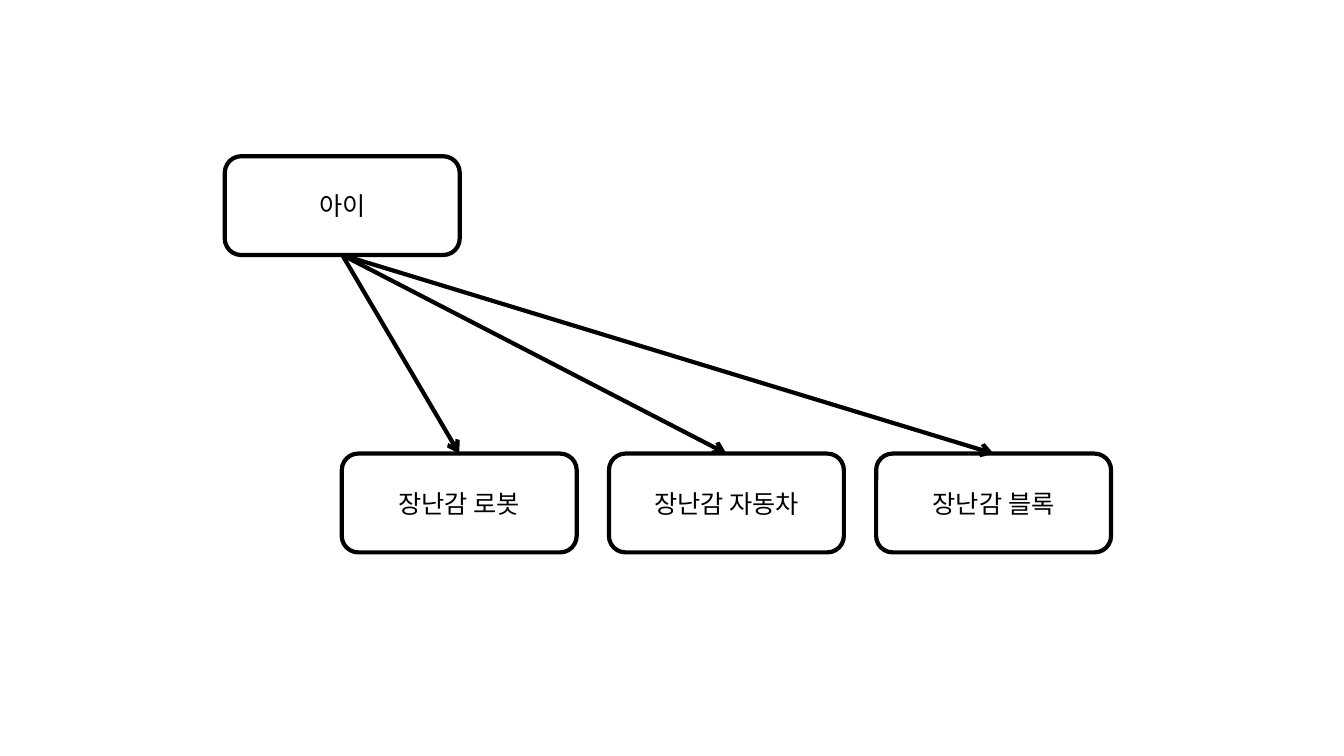
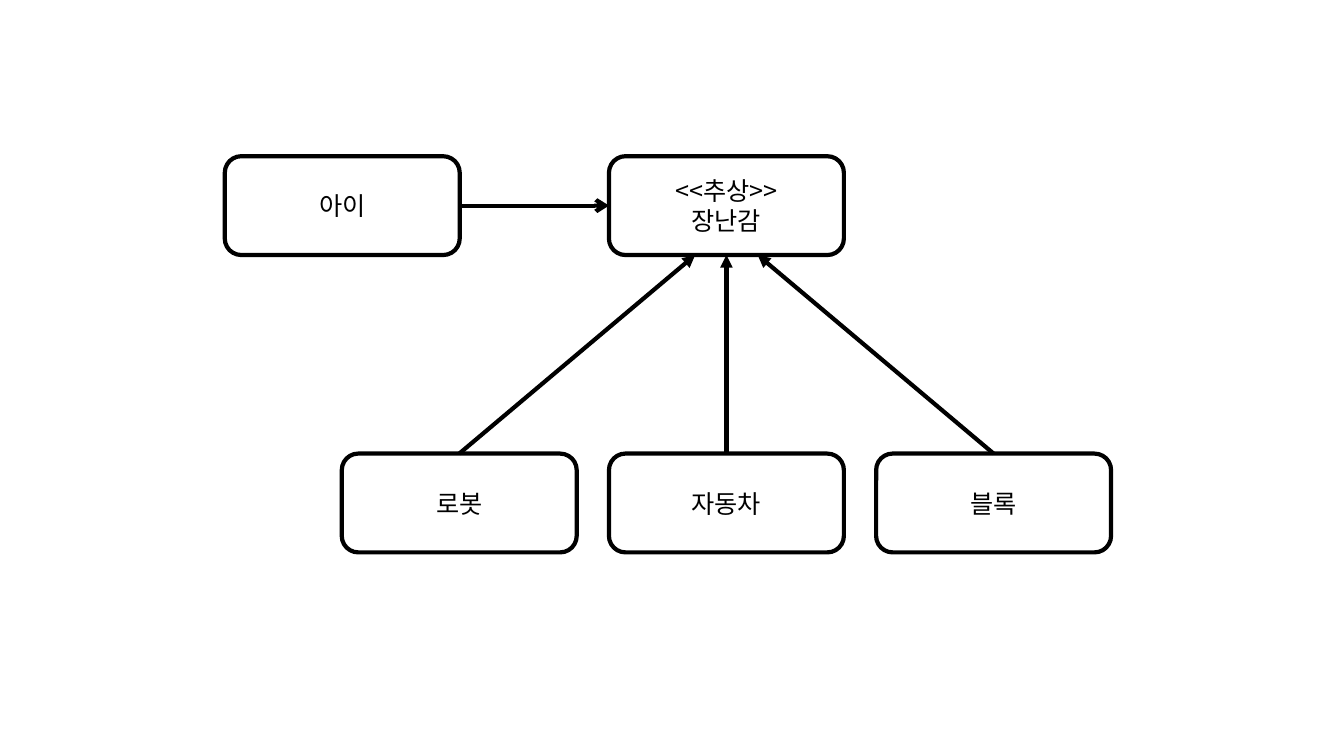
"""Two class diagrams: a child using concrete toys, then an abstract toy."""
from lxml.etree import SubElement
from pptx import Presentation
from pptx.dml.color import RGBColor
from pptx.enum.shapes import MSO_CONNECTOR, MSO_SHAPE
from pptx.enum.text import MSO_ANCHOR, PP_ALIGN
from pptx.oxml.ns import qn
from pptx.util import Inches, Pt

COLORS = {"fill": "FFFFFF", "ink": "000000"}
FONT = "Noto Sans CJK KR"
BOX_W, BOX_H = 2.33, 0.98
CHILD_X, TOY_X, TOY_STEP = 2.23, 3.39, 2.65
TOP_Y, TOY_Y = 1.55, 4.5
TOP, LEFT, BOTTOM, RIGHT = range(4)
INK = RGBColor.from_string(COLORS["ink"])


def add_box(s, text, x, y):
    sp = s.shapes.add_shape(MSO_SHAPE.ROUNDED_RECTANGLE, Inches(x), Inches(y),
                            Inches(BOX_W), Inches(BOX_H))
    sp.shadow.inherit = False
    sp.fill.solid()
    sp.fill.fore_color.rgb = RGBColor.from_string(COLORS["fill"])
    sp.line.color.rgb = INK
    sp.line.width = Pt(3)
    tf = sp.text_frame
    tf.text = text
    tf.vertical_anchor = MSO_ANCHOR.MIDDLE
    for p in tf.paragraphs:
        p.alignment = PP_ALIGN.CENTER
        for r in p.runs:
            r.font.size = Pt(18)
            r.font.color.rgb = INK
            r.font.name = FONT
            SubElement(r.font._element, qn("a:ea"), typeface=FONT)
    return sp


def add_arrow(s, start, start_site, end, end_site, head, shift=0):
    cxn = s.shapes.add_connector(MSO_CONNECTOR.STRAIGHT, 0, 0, 0, 0)
    cxn.begin_connect(start, start_site)
    if shift:
        cxn.end_x = end.left + end.width // 2 + Inches(shift)
        cxn.end_y = end.top + end.height
    else:
        cxn.end_connect(end, end_site)
    cxn.line.color.rgb = INK
    cxn.line.width = Pt(3)
    SubElement(cxn.line._get_or_add_ln(), qn("a:tailEnd"), type=head)
    SubElement(cxn._element.spPr, qn("a:effectLst"))


prs = Presentation()
prs.slide_width = Inches(13.33)
prs.slide_height = Inches(7.5)
blank = prs.slide_layouts[6]

s = prs.slides.add_slide(blank)
child = add_box(s, "아이", CHILD_X, TOP_Y)
toys = [add_box(s, name, TOY_X + i * TOY_STEP, TOY_Y)
        for i, name in enumerate(["장난감 로봇", "장난감 자동차", "장난감 블록"])]
for toy in toys:
    add_arrow(s, child, BOTTOM, toy, TOP, "arrow")

s = prs.slides.add_slide(blank)
child = add_box(s, "아이", CHILD_X, TOP_Y)
abstract_toy = add_box(s, "<<추상>>\n장난감", TOY_X + TOY_STEP, TOP_Y)
toys = [add_box(s, name, TOY_X + i * TOY_STEP, TOY_Y)
        for i, name in enumerate(["로봇", "자동차", "블록"])]
add_arrow(s, child, RIGHT, abstract_toy, LEFT, "arrow")
for toy, shift in zip(toys, [-0.31, 0, 0.31]):
    add_arrow(s, toy, TOP, abstract_toy, BOTTOM, "triangle", shift)

prs.save("out.pptx")
